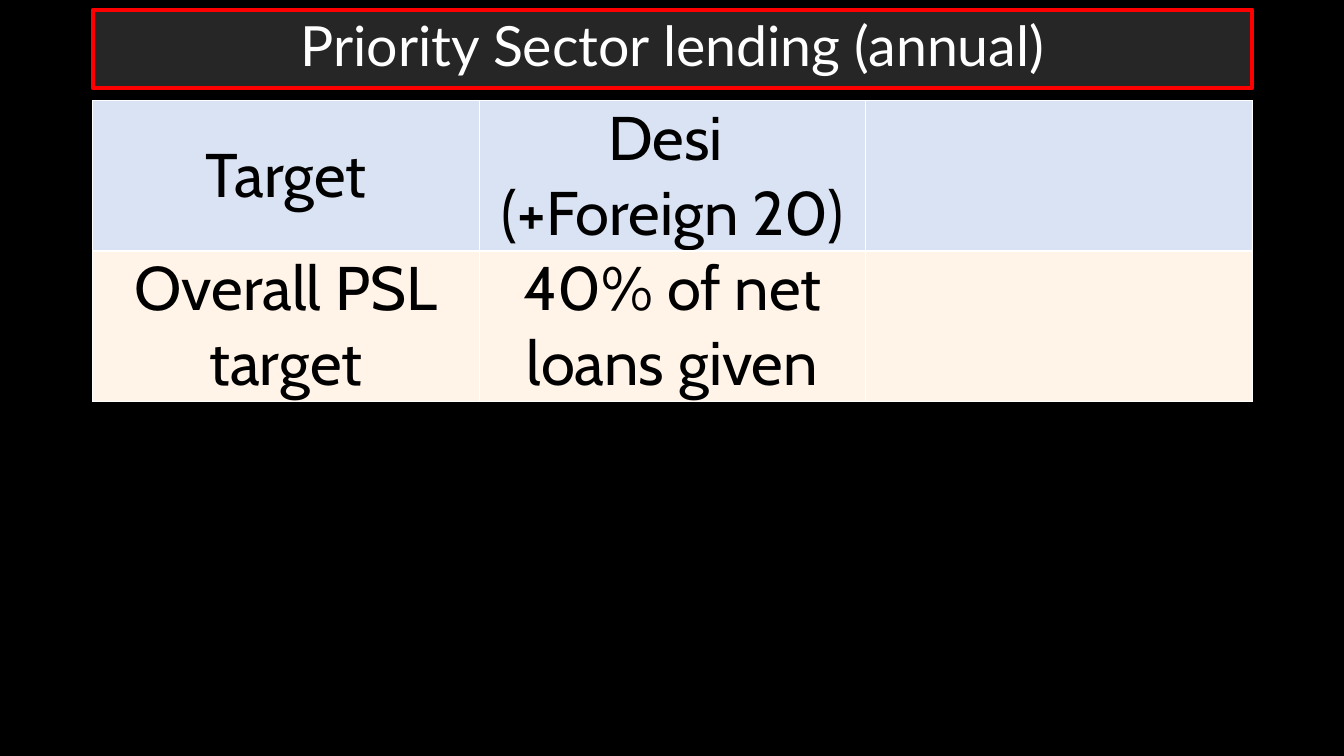
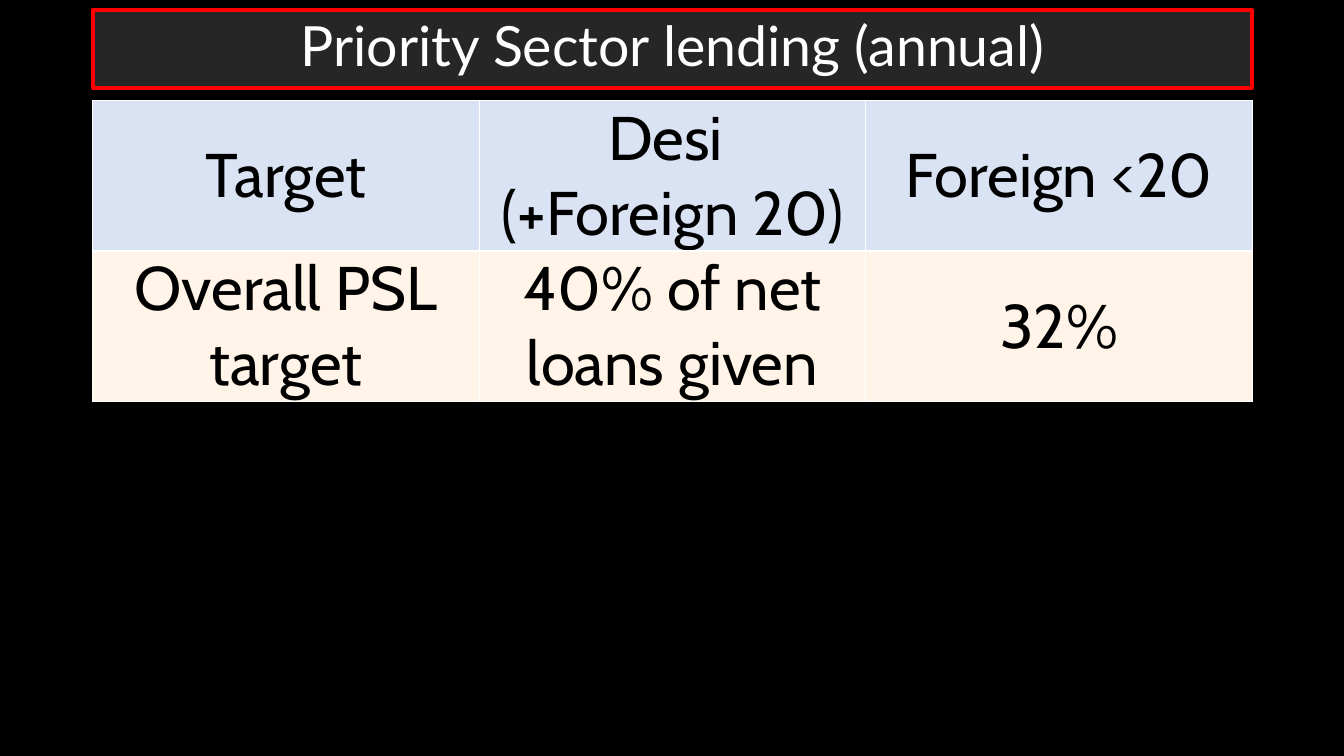
"""Build two slides on annual priority sector lending targets."""
from lxml import etree
from pptx import Presentation
from pptx.dml.color import RGBColor
from pptx.enum import shapes, text
from pptx.oxml import ns
from pptx.util import Inches, Pt

TITLE = "Priority Sector lending (annual)"
HEADER = ["Target", "Desi \n(+Foreign 20)"]
OVERALL = ["Overall PSL target", "40% of net loans given"]
TABLES = [
    [HEADER + [""], OVERALL + [""]],
    [HEADER + ["Foreign <20"], OVERALL + ["32%"]],
]

BLACK = RGBColor(0x00, 0x00, 0x00)
WHITE = RGBColor(0xFF, 0xFF, 0xFF)
CHARCOAL = RGBColor(0x26, 0x26, 0x26)
RED = RGBColor(0xFF, 0x00, 0x00)
ROW_FILLS = [RGBColor(0xDA, 0xE3, 0xF3), RGBColor(0xFF, 0xF4, 0xE7)]

LEFT, WIDTH = Inches(0.92), Inches(11.5)
TITLE_TOP, TITLE_HEIGHT = Inches(0.1), Inches(0.77)
TABLE_TOP, ROW_HEIGHT = Inches(1), Inches(1.49)


def write(tf, content, font, size, color):
    for i, line in enumerate(content.split("\n")):
        p = tf.paragraphs[0] if i == 0 else tf.add_paragraph()
        p.alignment = text.PP_ALIGN.CENTER
        r = p.add_run()
        r.text = line
        r.font.name, r.font.size = font, Pt(size)
        r.font.color.rgb = color


def add_title(s):
    sp = s.shapes.add_shape(shapes.MSO_SHAPE.RECTANGLE, LEFT, TITLE_TOP, WIDTH, TITLE_HEIGHT)
    sp.shadow.inherit = False
    sp.fill.solid()
    sp.fill.fore_color.rgb = CHARCOAL
    sp.line.color.rgb, sp.line.width = RED, Pt(3)
    tf = sp.text_frame
    tf.word_wrap = True
    tf.vertical_anchor = text.MSO_ANCHOR.MIDDLE
    write(tf, TITLE, "Lato", 39.6, WHITE)
    tf.paragraphs[0].line_spacing = 0.9


def add_borders(cell):
    props = cell._tc.get_or_add_tcPr()
    for side in ("a:lnL", "a:lnR", "a:lnT", "a:lnB"):
        ln = etree.SubElement(props, ns.qn(side), w=str(Pt(1)))
        fill = etree.SubElement(ln, ns.qn("a:solidFill"))
        etree.SubElement(fill, ns.qn("a:srgbClr"), val=str(WHITE))


def add_targets(s, rows):
    frame = s.shapes.add_table(len(rows), len(rows[0]), LEFT, TABLE_TOP, WIDTH, ROW_HEIGHT * len(rows))
    table = frame.table
    table.first_row = table.horz_banding = False
    for i, (row, color) in enumerate(zip(rows, ROW_FILLS)):
        for j, content in enumerate(row):
            cell = table.cell(i, j)
            cell.margin_left = cell.margin_right = cell.margin_top = cell.margin_bottom = 0
            cell.vertical_anchor = text.MSO_ANCHOR.MIDDLE
            add_borders(cell)
            cell.fill.solid()
            cell.fill.fore_color.rgb = color
            if content:
                write(cell.text_frame, content, "Cabin", 44, BLACK)


def main():
    prs = Presentation()
    prs.slide_width, prs.slide_height = Inches(13.33), Inches(7.5)
    background = prs.slide_master.background.fill
    background.solid()
    background.fore_color.rgb = BLACK
    for rows in TABLES:
        s = prs.slides.add_slide(prs.slide_layouts[6])
        add_targets(s, rows)
        add_title(s)
    prs.save("out.pptx")


if __name__ == "__main__":
    main()
